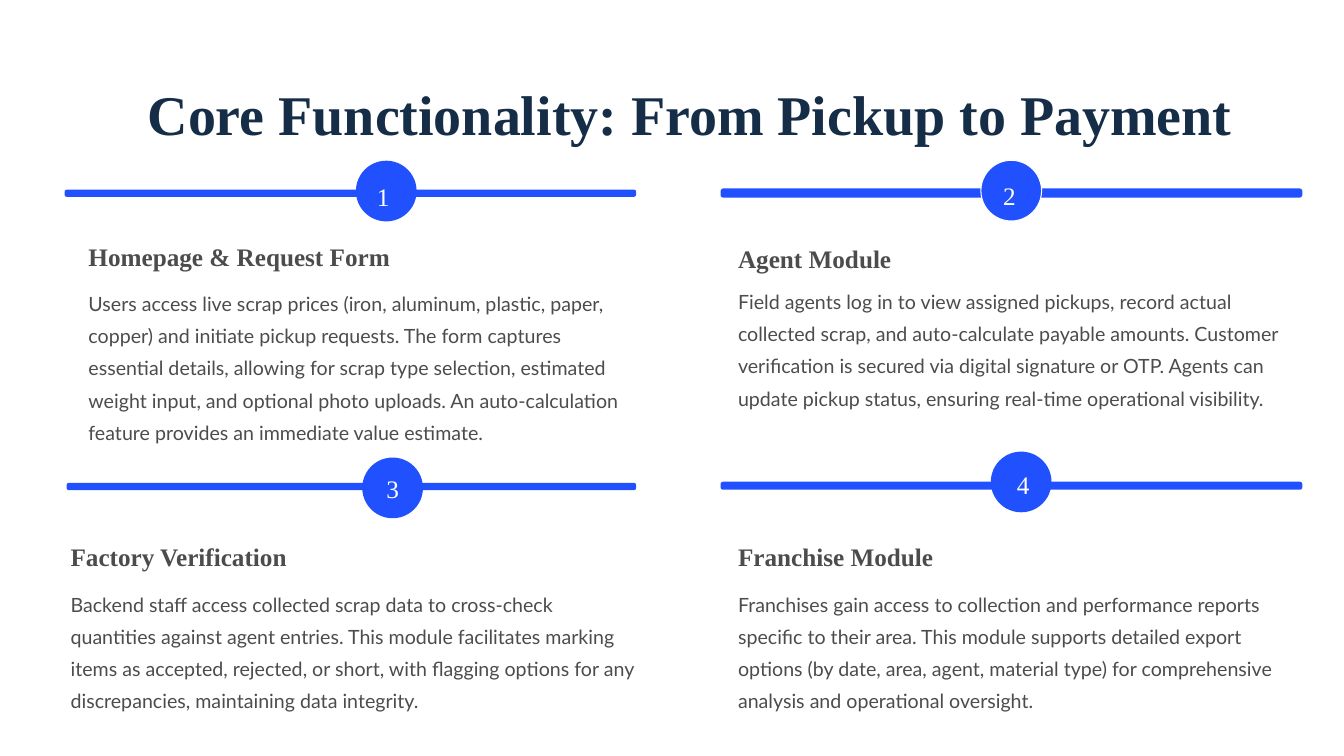
from dataclasses import dataclass

from pptx import Presentation
from pptx.dml.color import RGBColor
from pptx.enum.shapes import MSO_SHAPE
from pptx.enum.text import PP_ALIGN
from pptx.util import Cm, Pt

ROUNDED = MSO_SHAPE.ROUNDED_RECTANGLE
LEFT = PP_ALIGN.LEFT
CENTER = PP_ALIGN.CENTER
BLUE = RGBColor(0x21, 0x50, 0xFE)
NAVY = RGBColor(0x15, 0x2D, 0x47)
GRAY = RGBColor(0x4C, 0x4C, 0x4D)
WHITE = RGBColor(0xFF, 0xFF, 0xFF)
SERIF = "Times New Roman"
SANS = "Lato"
DISC_SIZE = 1.53


@dataclass
class Section:
    box: tuple
    rail_height: float
    indent: float
    disc: tuple
    digit: tuple
    heading_top: float
    body_top: float
    number: str
    heading: str
    body: str
    outlined: bool = False


SECTIONS = [
    Section(
        (1.63, 4.78, 14.4), 0.18, 0.6, (7.34, -0.73), (0.53, 0.3), 1.26, 2.36,
        "1", "Homepage & Request Form",
        "Users access live scrap prices (iron, aluminum, plastic, paper, copper) and "
        "initiate pickup requests. The form captures essential details, allowing for "
        "scrap type selection, estimated weight input, and optional photo uploads. An "
        "auto-calculation feature provides an immediate value estimate.",
    ),
    Section(
        (18.16, 4.75, 14.66), 0.23, 0.44, (6.56, -0.71), (0.56, 0.3), 1.35, 2.34,
        "2", "Agent Module",
        "Field agents log in to view assigned pickups, record actual collected scrap, "
        "and auto-calculate payable amounts. Customer verification is secured via "
        "digital signature or OTP. Agents can update pickup status, ensuring real-time "
        "operational visibility.",
        outlined=True,
    ),
    Section(
        (1.68, 12.17, 14.35), 0.18, 0.1, (7.45, -0.64), (0.61, 0.2), 1.44, 2.55,
        "3", "Factory Verification",
        "Backend staff access collected scrap data to cross-check quantities against "
        "agent entries. This module facilitates marking items as accepted, rejected, or "
        "short, with flagging options for any discrepancies, maintaining data integrity.",
    ),
    Section(
        (18.16, 12.14, 14.66), 0.2, 0.44, (6.81, -0.76), (0.66, 0.25), 1.47, 2.58,
        "4", "Franchise Module",
        "Franchises gain access to collection and performance reports specific to their "
        "area. This module supports detailed export options (by date, area, agent, "
        "material type) for comprehensive analysis and operational oversight.",
    ),
]


def add_text(slide, box, text, font_name, size, color, spacing,
             bold=False, wrap=False, alignment=LEFT):
    shape = slide.shapes.add_textbox(*map(Cm, box))
    frame = shape.text_frame
    frame.margin_left = frame.margin_right = 0
    frame.margin_top = frame.margin_bottom = 0
    frame.word_wrap = wrap
    paragraph = frame.paragraphs[0]
    paragraph.text = text
    paragraph.alignment = alignment
    paragraph.line_spacing = Pt(spacing)
    paragraph.font.name = font_name
    paragraph.font.size = Pt(size)
    paragraph.font.bold = bold
    paragraph.font.color.rgb = color


def add_rounded(slide, box, rounding):
    shape = slide.shapes.add_shape(ROUNDED, *map(Cm, box))
    shape.adjustments[0] = rounding
    shape.shadow.inherit = False
    shape.fill.solid()
    shape.fill.fore_color.rgb = BLUE
    shape.line.fill.background()
    return shape


def add_title(slide, box):
    add_text(slide, box, "Core Functionality: From Pickup to Payment",
             SERIF, 40, NAVY, 45, bold=True, alignment=CENTER)


def add_section(slide, section):
    left, top, width = section.box
    add_rounded(slide, (left, top, width, section.rail_height), 0.3)

    disc_left, disc_top = left + section.disc[0], top + section.disc[1]
    disc = add_rounded(slide, (disc_left, disc_top, DISC_SIZE, DISC_SIZE), 0.5)
    if section.outlined:
        disc.line.color.rgb = WHITE
        disc.line.width = Pt(0.75)
    digit_box = (disc_left + section.digit[0], disc_top + section.digit[1], 0.4, 0.9)
    add_text(slide, digit_box, section.number, SERIF, 18, WHITE, 27.5)

    text_left, text_width = left + section.indent, width - section.indent
    add_text(slide, (text_left, top + section.heading_top, text_width, 0.79),
             section.heading, SERIF, 18, GRAY, 22.5, bold=True)
    add_text(slide, (text_left, top + section.body_top, text_width, 3.25),
             section.body, SANS, 14, GRAY, 23, wrap=True)


def main():
    presentation = Presentation()
    presentation.slide_width = Cm(33.87)
    presentation.slide_height = Cm(19.05)
    slide = presentation.slides.add_slide(presentation.slide_layouts[6])
    add_title(slide, (3.56, 2.11, 27.64, 1.6))
    for section in SECTIONS:
        add_section(slide, section)
    presentation.save("out.pptx")


if __name__ == "__main__":
    main()
